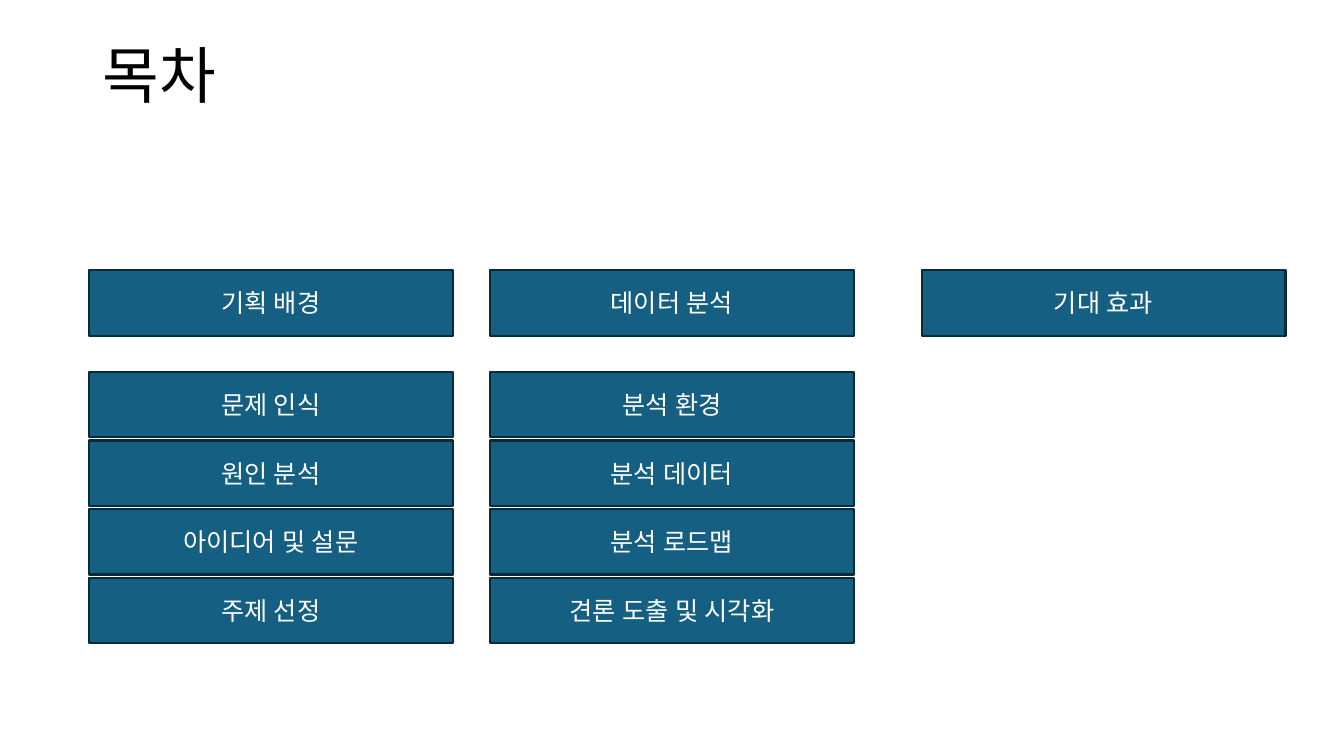
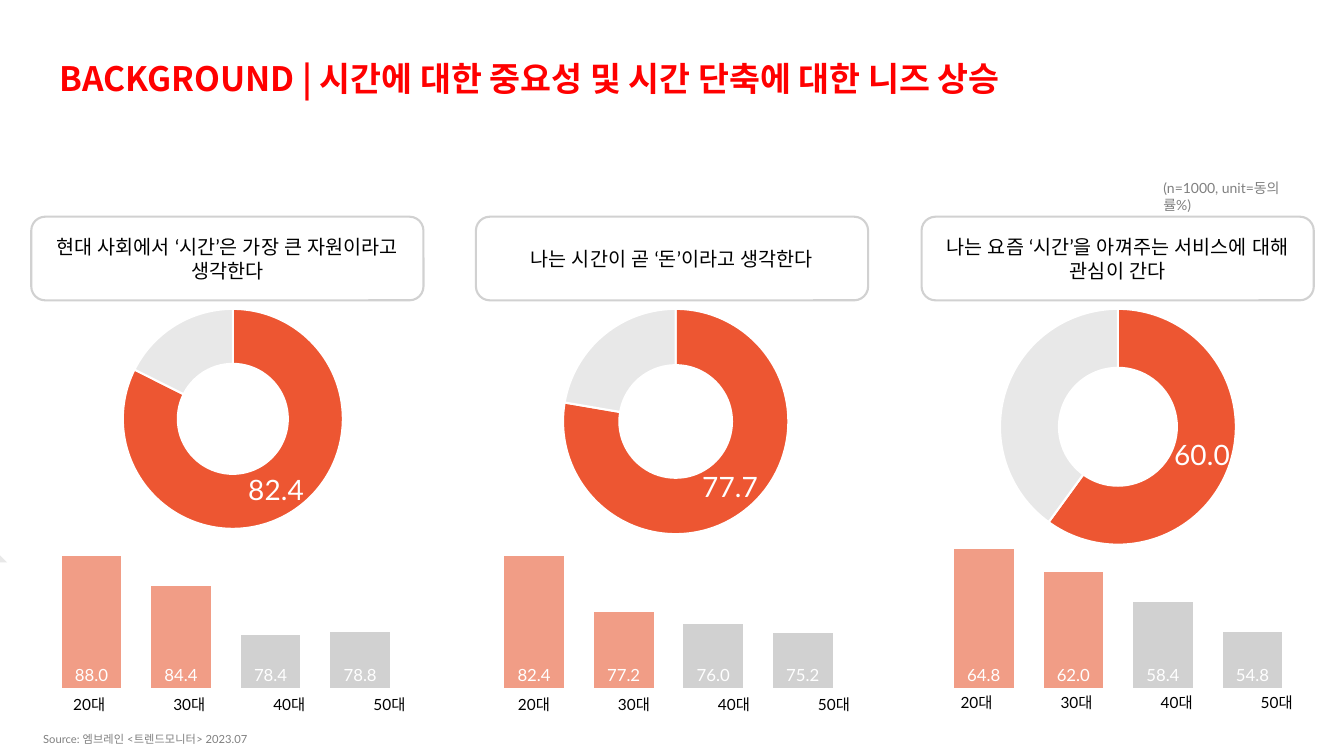
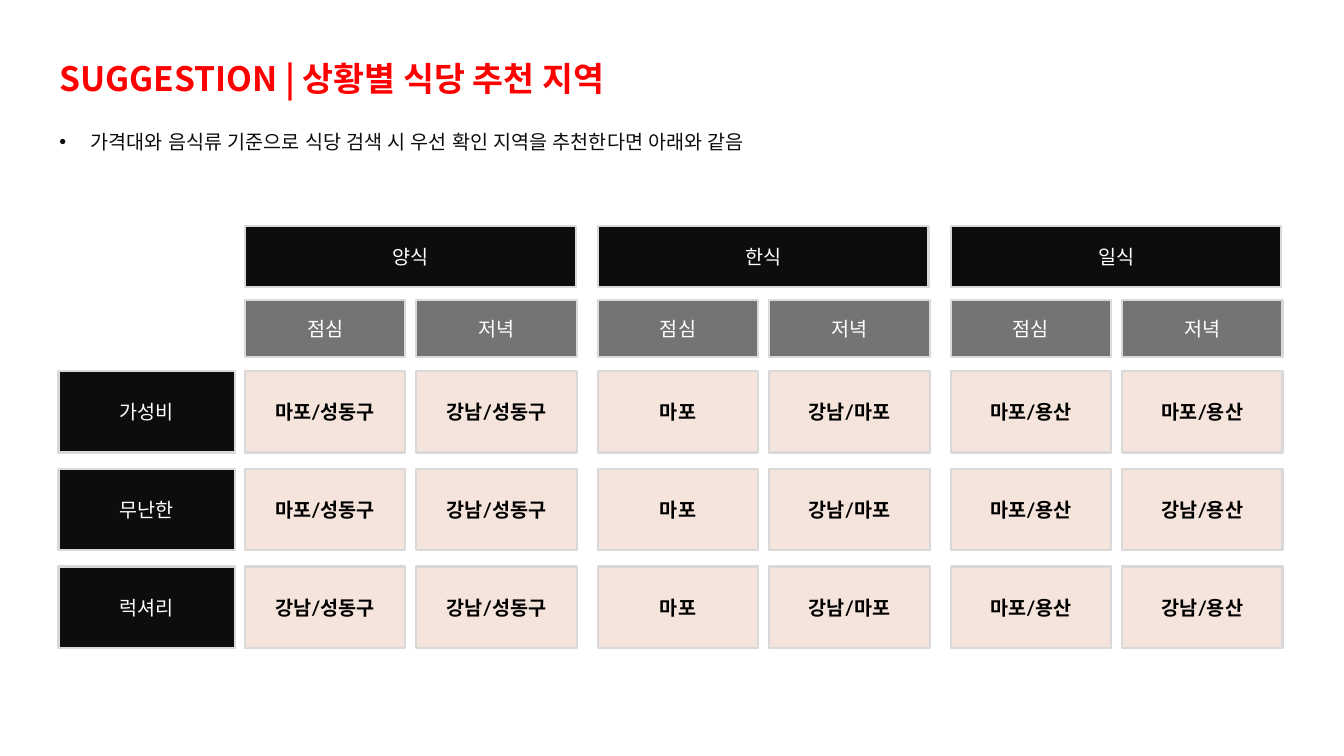
from lxml import etree
from pptx import Presentation
from pptx.chart.data import CategoryChartData
from pptx.dml.color import RGBColor
from pptx.enum.chart import XL_CHART_TYPE, XL_LABEL_POSITION
from pptx.enum.shapes import MSO_SHAPE
from pptx.enum.text import MSO_ANCHOR, PP_ALIGN
from pptx.oxml import parse_xml
from pptx.oxml.ns import nsdecls, qn
from pptx.util import Inches, Pt

DOUGHNUT, COLUMN = XL_CHART_TYPE.DOUGHNUT, XL_CHART_TYPE.COLUMN_CLUSTERED
INSIDE_BASE = XL_LABEL_POSITION.INSIDE_BASE
RECT, ROUND = MSO_SHAPE.RECTANGLE, MSO_SHAPE.ROUNDED_RECTANGLE
TRAPEZOID = MSO_SHAPE.FLOWCHART_MANUAL_OPERATION
TOP, MIDDLE = MSO_ANCHOR.TOP, MSO_ANCHOR.MIDDLE
LEFT, CENTER = PP_ALIGN.LEFT, PP_ALIGN.CENTER

BLACK = RGBColor(0x00, 0x00, 0x00)
WHITE = RGBColor(0xFF, 0xFF, 0xFF)
RED = RGBColor(0xFF, 0x00, 0x00)
TEAL = RGBColor(0x15, 0x60, 0x82)
NAVY = RGBColor(0x09, 0x2A, 0x39)
ORANGE = RGBColor(0xED, 0x56, 0x32)
SALMON = RGBColor(0xF1, 0x9D, 0x86)
PEACH = RGBColor(0xF5, 0xE4, 0xDB)
INK = RGBColor(0x0D, 0x0D, 0x0D)
DARK_GRAY = RGBColor(0x74, 0x74, 0x74)
GRAY = RGBColor(0x80, 0x80, 0x80)
MID_GRAY = RGBColor(0xD1, 0xD1, 0xD1)
EDGE_GRAY = RGBColor(0xD9, 0xD9, 0xD9)
PALE_GRAY = RGBColor(0xE8, 0xE8, 0xE8)

BODY_FONT, TITLE_FONT = "Lato", "Noto Sans CJK KR"
PLAIN_TABLE = "{2D5ABB26-0587-4C30-8999-92F81FD0307C}"

AGENDA = [
    (0.88, "기획 배경", ["문제 인식", "원인 분석", "아이디어 및 설문", "주제 선정"]),
    (4.86, "데이터 분석", ["분석 환경", "분석 데이터", "분석 로드맵", "견론 도출 및 시각화"]),
    (9.14, "기대 효과", []),
]

AGES = ["20대", "30대", "40대", "50대"]
SURVEYS = [
    dict(question="현대 사회에서 ‘시간’은 가장 큰 자원이라고 생각한다", agree=82.4,
         ages=[88, 84.4, 78.4, 78.8], scale=(72, 90), ring=0.83,
         box_x=0.31, ring_x=0.31, bars_x=0.39, table_at=(0.39, 6.81)),
    dict(question="나는 시간이 곧 ‘돈’이라고 생각한다", agree=77.7,
         ages=[82.4, 77.2, 76, 75.2], scale=(70, 84), ring=0.85,
         box_x=4.72, ring_x=4.7, bars_x=4.78, table_at=(4.8, 6.81)),
    dict(question="나는 요즘 ‘시간’을 아껴주는 서비스에 대해 관심이 간다", agree=60,
         ages=[64.8, 62, 58.4, 54.8], scale=(48, 66), ring=0.89,
         box_x=9.14, ring_x=9.09, bars_x=9.24, table_at=(9.19, 6.79)),
]

MEALS = ["점심", "저녁"]
CUISINES = ["양식", "한식", "일식"]
AREAS = [
    ("가성비", ["마포/성동구", "강남/성동구", "마포", "강남/마포", "마포/용산", "마포/용산"]),
    ("무난한", ["마포/성동구", "강남/성동구", "마포", "강남/마포", "마포/용산", "강남/용산"]),
    ("럭셔리", ["강남/성동구", "강남/성동구", "마포", "강남/마포", "마포/용산", "강남/용산"]),
]


def write(tf, text, size=14, color=BLACK, font=BODY_FONT, bold=False,
          align=LEFT, spacing=None, bullet=False):
    p = tf.paragraphs[0]
    if bullet:
        pPr = p._p.get_or_add_pPr()
        pPr.set("marL", str(Inches(0.31)))
        pPr.set("indent", str(-Inches(0.31)))
        etree.SubElement(pPr, qn("a:buFont")).set("typeface", "Arial")
        etree.SubElement(pPr, qn("a:buChar")).set("char", "•")
    p.alignment = align
    if spacing:
        p.line_spacing = spacing
    r = p.add_run()
    r.text = text
    r.font.size, r.font.bold, r.font.name = Pt(size), bold, font
    r.font.color.rgb = color
    etree.SubElement(r._r.get_or_add_rPr(), qn("a:ea")).set("typeface", font)


def add_text(s, at, text, anchor=TOP, **fmt):
    tf = s.shapes.add_textbox(*map(Inches, at)).text_frame
    tf.word_wrap = True
    tf.vertical_anchor = anchor
    write(tf, text, **fmt)


def add_title(s, text):
    add_text(s, (0.49, 0.51, 10.2, 0.52), text, anchor=MIDDLE,
             size=24, color=RED, font=TITLE_FONT, bold=True)


def add_box(s, at, text=None, fill=None, line=None, kind=RECT, **fmt):
    sp = s.shapes.add_shape(kind, *map(Inches, at))
    sp.shadow.inherit = False
    if fill is None:
        sp.fill.background()
    else:
        sp.fill.solid()
        sp.fill.fore_color.rgb = fill
    if line is None:
        sp.line.fill.background()
    else:
        sp.line.color.rgb = line
        sp.line.width = Pt(1.5)
    if text:
        sp.text_frame.vertical_anchor = MIDDLE
        write(sp.text_frame, text, align=CENTER, **fmt)
    return sp


def add_chart(s, kind, at, values):
    data = CategoryChartData(number_format="0.0")
    data.categories = [str(i + 1) for i in range(len(values))]
    data.add_series("Series 1", values)
    chart = s.shapes.add_chart(kind, *map(Inches, at), data).chart
    chart.has_legend = chart.has_title = False
    chart.font.size, chart.font.name = Pt(10), BODY_FONT
    chart.font.color.rgb = BLACK
    return chart, chart.plots[0]


def color_points(series, colors):
    for i, color in enumerate(colors):
        fill = series.points[i].format.fill
        fill.solid()
        fill.fore_color.rgb = color


def add_ring(s, x, agree, size):
    at = (x, 2.92, 4, 2.63)
    chart, plot = add_chart(s, DOUGHNUT, at, [agree, round(100 - agree, 1)])
    plot.vary_by_categories = True
    series = plot.series[0]
    color_points(series, [ORANGE, PALE_GRAY])
    for i in range(2):
        series.points[i].format.line.color.rgb = WHITE
        series.points[i].format.line.width = Pt(1.5)
    font = series.points[0].data_label.font
    font.size, font.name = Pt(20), BODY_FONT
    font.color.rgb = WHITE
    series.data_labels.show_value = False
    plot._element.find(qn("c:holeSize")).set("val", "41")
    width = size * at[3] / at[2]
    area = chart._chartSpace.chart.plotArea
    for old in area.findall(qn("c:layout")):
        area.remove(old)
    area.insert(0, parse_xml(
        f'<c:layout {nsdecls("c")}><c:manualLayout><c:layoutTarget val="inner"/>'
        '<c:xMode val="edge"/><c:yMode val="edge"/>'
        f'<c:x val="{(1 - width) / 2:.3f}"/><c:y val="0.055"/>'
        f'<c:w val="{width:.3f}"/><c:h val="{size}"/>'
        '</c:manualLayout></c:layout>'))


def add_bars(s, x, values, scale):
    chart, plot = add_chart(s, COLUMN, (x, 5.32, 3.7, 1.54), values)
    plot.vary_by_categories = False
    plot.gap_width, plot.overlap = 50, 100
    color_points(plot.series[0], [SALMON, SALMON, MID_GRAY, MID_GRAY])
    axis = chart.value_axis
    axis.minimum_scale, axis.maximum_scale = scale
    axis.has_major_gridlines = False
    axis.visible = chart.category_axis.visible = False
    labels = plot.series[0].data_labels
    labels.show_value = True
    labels.position = INSIDE_BASE
    labels.number_format, labels.number_format_is_linked = "0.0", False
    labels.font.size, labels.font.name = Pt(12), BODY_FONT
    labels.font.color.rgb = WHITE


def add_age_table(s, at):
    size = map(Inches, (*at, 3.97, 0.36))
    table = s.shapes.add_table(1, len(AGES), *size).table
    table.first_row = table.horz_banding = False
    table._tbl.tblPr.find(qn("a:tableStyleId")).text = PLAIN_TABLE
    for cell, age in zip(table.rows[0].cells, AGES):
        cell.fill.background()
        cell.vertical_anchor = MIDDLE
        write(cell.text_frame, age, size=11, align=CENTER)


def build_agenda(s):
    add_text(s, (0.92, 0.4, 11.5, 1.45), "목차", size=44, spacing=0.9)
    look = dict(fill=TEAL, line=NAVY, size=18, color=WHITE)
    for x, head, items in AGENDA:
        add_box(s, (x, 2.68, 3.61, 0.65), head, **look)
        for i, item in enumerate(items):
            add_box(s, (x, 3.69 + 0.68 * i, 3.61, 0.65), item, **look)


def build_background(s):
    add_box(s, (-3.17, 4.93, 3.24, 0.65), fill=PALE_GRAY, kind=TRAPEZOID).rotation = 180
    add_title(s, "BACKGROUND | 시간에 대한 중요성 및 시간 단축에 대한 니즈 상승")
    for survey in SURVEYS:
        add_ring(s, survey["ring_x"], survey["agree"], survey["ring"])
        add_bars(s, survey["bars_x"], survey["ages"], survey["scale"])
        add_age_table(s, survey["table_at"])
        add_box(s, (survey["box_x"], 2.15, 3.89, 0.83), survey["question"],
                line=MID_GRAY, kind=ROUND)
    add_text(s, (11.44, 1.73, 1.6, 0.27), "(n=1000, unit=동의률%)", size=10, color=GRAY)
    add_text(s, (0.33, 7.22, 12.76, 0.24), "Source: 엠브레인 <트렌드모니터> 2023.07",
             size=8, color=GRAY)


def build_suggestion(s):
    add_title(s, "SUGGESTION | 상황별 식당 추천 지역")
    add_text(s, (0.49, 1.24, 12.44, 0.34),
             "가격대와 음식류 기준으로 식당 검색 시 우선 확인 지역을 추천한다면 아래와 같음",
             color=INK, bullet=True)
    head = dict(fill=INK, line=EDGE_GRAY, color=WHITE)
    columns = []
    for i, cuisine in enumerate(CUISINES):
        x = 2.43 + 3.5 * i
        add_box(s, (x, 2.24, 3.28, 0.61), cuisine, **head)
        for j, meal in enumerate(MEALS):
            columns.append(x + 1.7 * j)
            add_box(s, (columns[-1], 2.98, 1.59, 0.56), meal,
                    fill=DARK_GRAY, line=EDGE_GRAY, color=WHITE)
    for i, (budget, areas) in enumerate(AREAS):
        y = 3.68 + 0.97 * i
        add_box(s, (0.58, y, 1.75, 0.81), budget, **head)
        for x, area in zip(columns, areas):
            add_box(s, (x, y, 1.59, 0.81), area, fill=PEACH, line=EDGE_GRAY, bold=True)


def main():
    prs = Presentation()
    prs.slide_width, prs.slide_height = Inches(13.33), Inches(7.5)
    for build in (build_agenda, build_background, build_suggestion):
        build(prs.slides.add_slide(prs.slide_layouts[6]))
    prs.save("out.pptx")


if __name__ == "__main__":
    main()
